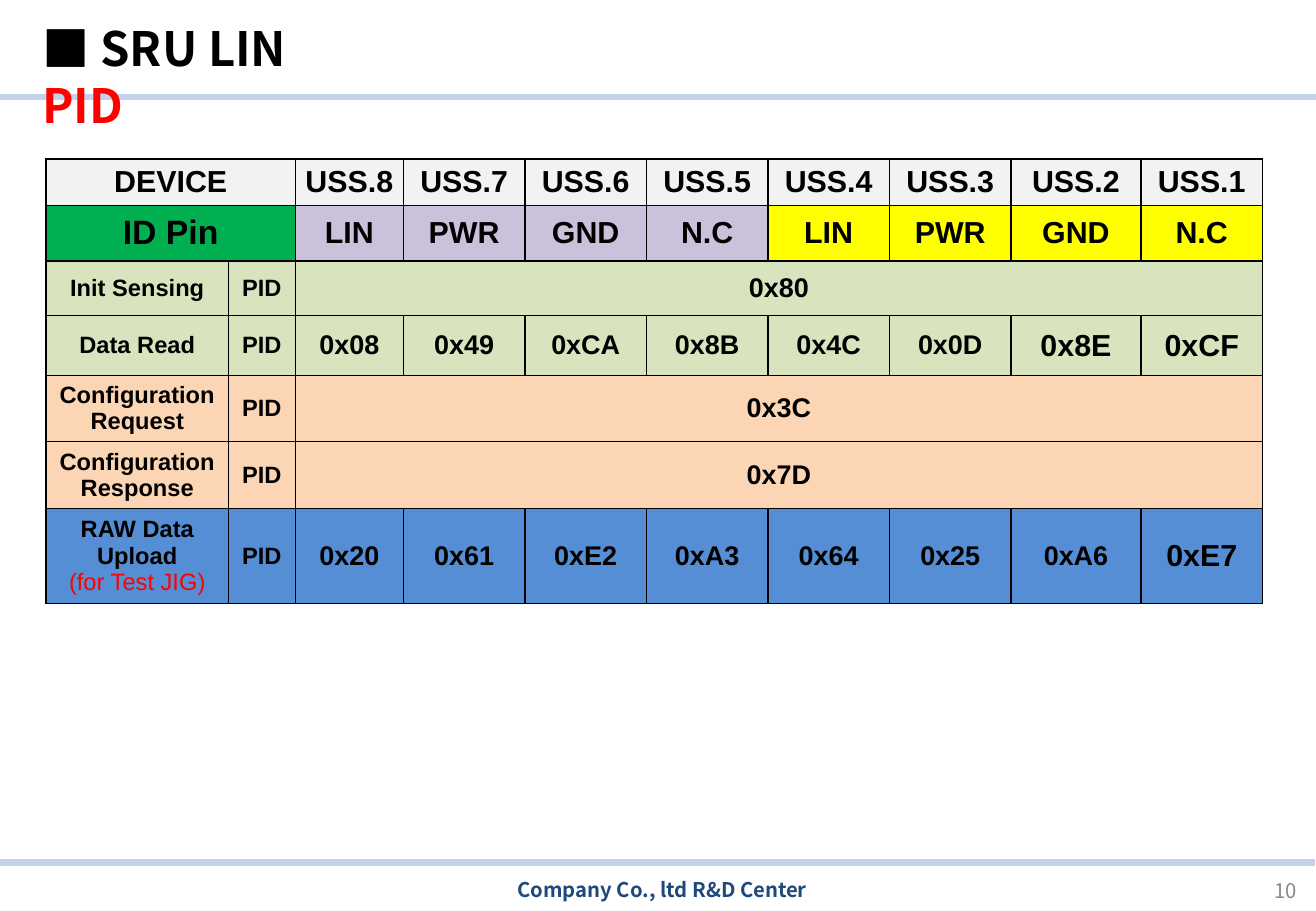
"""Build the SRU LIN PID table slide."""
from lxml import etree
from pptx import Presentation
from pptx.dml.color import RGBColor
from pptx.enum import shapes, text
from pptx.oxml import ns
from pptx.util import Inches, Pt

COLORS = {
    "black": "000000", "red": "FF0000", "rule": "C2D1ED", "navy": "1F497D",
    "gray": "898989", "header": "F2F2F2", "green": "00B050", "lilac": "CCC1DA",
    "yellow": "FFFF00", "sensing": "D7E4BD", "config": "FCD5B5", "raw": "558ED5",
}
HEADING_FONT = "Noto Sans CJK KR"
TABLE_FONT = "Arial"


def add_run(paragraph, words, size, color, font, bold=True):
    run = paragraph.add_run()
    run.text = words
    run.font.size = Pt(size)
    run.font.bold = bold
    run.font.color.rgb = RGBColor.from_string(COLORS[color])
    run.font.name = font
    etree.SubElement(run._r.get_or_add_rPr(), ns.qn("a:ea"), typeface=font)


def fill_cell(cell, lines, size, color, inset):
    cell.margin_left = cell.margin_right = Inches(inset)
    cell.margin_top = cell.margin_bottom = Inches(inset)
    cell.vertical_anchor = text.MSO_ANCHOR.MIDDLE
    properties = cell._tc.get_or_add_tcPr()
    for side in ("lnL", "lnR", "lnT", "lnB"):
        border = etree.SubElement(properties, ns.qn(f"a:{side}"), w=str(Pt(1)))
        solid = etree.SubElement(border, ns.qn("a:solidFill"))
        etree.SubElement(solid, ns.qn("a:srgbClr"), val=COLORS["black"])
    cell.fill.solid()
    cell.fill.fore_color.rgb = RGBColor.from_string(COLORS[color])
    for index, line in enumerate(lines):
        frame = cell.text_frame
        paragraph = frame.add_paragraph() if index else frame.paragraphs[0]
        paragraph.alignment = text.PP_ALIGN.CENTER
        is_note = line.startswith("(")
        add_run(paragraph, line, size, "red" if is_note else "black", TABLE_FONT, not is_note)


prs = Presentation()
prs.slide_width, prs.slide_height = Inches(10.83), Inches(7.5)
slide = prs.slides.add_slide(prs.slide_layouts[5])

title = slide.shapes.title
title.left, title.top = Inches(0.25), Inches(0.08)
title.width, title.height = Inches(2.82), Inches(0.57)
heading = title.text_frame
heading.word_wrap = True
heading.auto_size = text.MSO_AUTO_SIZE.NONE
heading.vertical_anchor = text.MSO_ANCHOR.TOP
heading.margin_left, heading.margin_right = Inches(0.1), Inches(0.2)
heading.margin_top = Inches(0.08)
heading.paragraphs[0].alignment = text.PP_ALIGN.LEFT
heading.paragraphs[0].line_spacing = Pt(33.8)
add_run(heading.paragraphs[0], "■ SRU LIN ", 28, "black", HEADING_FONT)
add_run(heading.paragraphs[0], "PID", 28, "red", HEADING_FONT)

for left, top in ((0, 0.8), (-0.01, 7.1)):
    rule = slide.shapes.add_connector(
        shapes.MSO_CONNECTOR.STRAIGHT,
        Inches(left), Inches(top), Inches(left + 10.83), Inches(top))
    rule.line.color.rgb = RGBColor.from_string(COLORS["rule"])
    rule.line.width = Pt(3.75)
    etree.SubElement(rule.element.spPr, ns.qn("a:effectLst"))
    title.element.addprevious(rule.element)

FOOTERS = [
    ("10", (8.03, 7.13, 2.74, 0.4), "gray", False, text.PP_ALIGN.RIGHT, text.MSO_ANCHOR.MIDDLE),
    ("Company Co., ltd R&D Center", (3.59, 7.2, 3.72, 0.25), "navy", True,
     text.PP_ALIGN.CENTER, text.MSO_ANCHOR.TOP),
]
for words, box, color, bold, alignment, anchor in FOOTERS:
    footer = slide.shapes.add_textbox(*map(Inches, box)).text_frame
    footer.word_wrap = True
    footer.vertical_anchor = anchor
    footer.margin_top = footer.margin_bottom = Inches(0.02)
    footer.paragraphs[0].alignment = alignment
    add_run(footer.paragraphs[0], words, 12, color, HEADING_FONT, bold)

COLUMN_WIDTHS = [1.5, 0.55, 0.89, 1, 1, 1, 1, 1, 1.07, 1]
ROWS = [
    (0.38, ["DEVICE"], 18, "header", [f"USS.{n}" for n in range(8, 0, -1)], 18),
    (0.46, ["ID Pin"], 20, "green", ["LIN", "PWR", "GND", "N.C"] * 2, 18),
    (0.45, ["Init Sensing"], 14, "sensing", ["0x80"], 16),
    (0.49, ["Data Read"], 14, "sensing",
     ["0x08", "0x49", "0xCA", "0x8B", "0x4C", "0x0D", "0x8E", "0xCF"], 16),
    (0.54, ["Configuration", "Request"], 14, "config", ["0x3C"], 16),
    (0.55, ["Configuration", "Response"], 14, "config", ["0x7D"], 16),
    (0.77, ["RAW Data Upload", "(for Test JIG)"], 14, "raw",
     ["0x20", "0x61", "0xE2", "0xA3", "0x64", "0x25", "0xA6", "0xE7"], 16),
]
LARGE_VALUES = {"0x8E", "0xCF", "0xE7"}

pid_table = slide.shapes.add_table(
    len(ROWS), len(COLUMN_WIDTHS), Inches(0.38), Inches(1.31),
    Inches(sum(COLUMN_WIDTHS)), Inches(sum(row[0] for row in ROWS))).table
for column, width in zip(pid_table.columns, COLUMN_WIDTHS):
    column.width = Inches(width)

for r, (height, label, label_size, color, values, value_size) in enumerate(ROWS):
    pid_table.rows[r].height = Inches(height)
    is_heading = r < 2
    if is_heading:
        pid_table.cell(r, 0).merge(pid_table.cell(r, 1))
    if len(values) == 1:
        pid_table.cell(r, 2).merge(pid_table.cell(r, 9))
    fill_cell(pid_table.cell(r, 0), label, label_size, color, 0.04)
    fill_cell(pid_table.cell(r, 1), [] if is_heading else ["PID"], 14, color, 0.04)
    for c in range(8):
        lines = values[c:c + 1]
        size = 18 if LARGE_VALUES.intersection(lines) else value_size
        value_color = color
        if color == "green":
            value_color = "lilac" if c < 4 else "yellow"
        fill_cell(pid_table.cell(r, c + 2), lines, size, value_color, 0)

prs.save("out.pptx")
